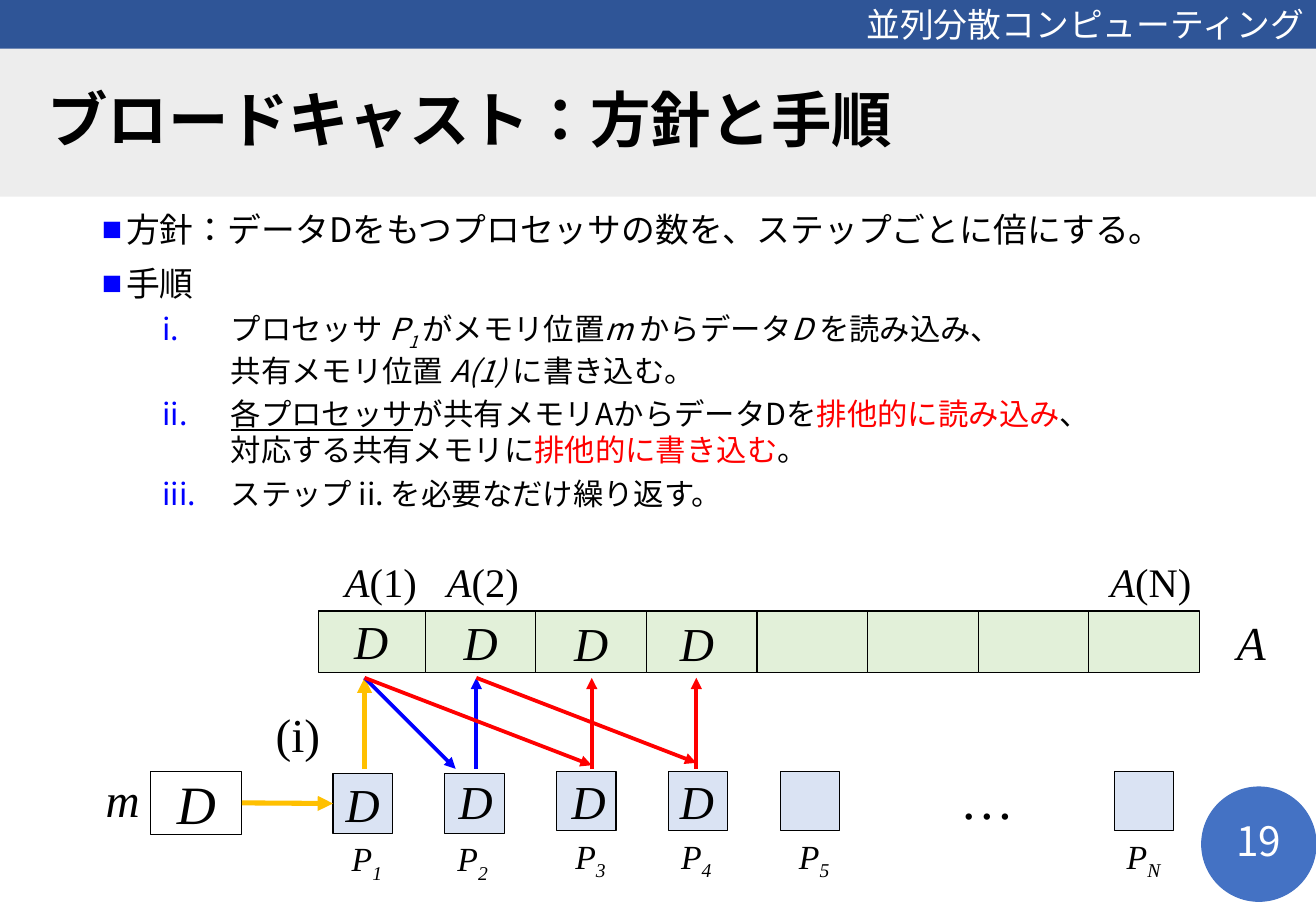
from lxml import etree
from pptx import Presentation
from pptx.dml.color import RGBColor
from pptx.enum.lang import MSO_LANGUAGE_ID
from pptx.enum.shapes import MSO_CONNECTOR, MSO_SHAPE
from pptx.enum.text import MSO_ANCHOR, PP_ALIGN
from pptx.oxml.ns import qn
from pptx.util import Inches, Pt

RECT, OVAL = MSO_SHAPE.RECTANGLE, MSO_SHAPE.OVAL
LINE = MSO_CONNECTOR.STRAIGHT
LEFT, MID, RIGHT = PP_ALIGN.LEFT, PP_ALIGN.CENTER, PP_ALIGN.RIGHT
TOP, CENTER = MSO_ANCHOR.TOP, MSO_ANCHOR.MIDDLE
LANG = MSO_LANGUAGE_ID.JAPANESE
SANS, SERIF, LATO = "Noto Sans CJK JP", "Times New Roman", "Lato"
BLACK, WHITE, RED, BLUE, GOLD = "000000", "FFFFFF", "FF0000", "0000FF", "FFC000"

# Runs are (text, style): i italic, s subscript, u underline, r red
POLICY = [("方針：データDをもつプロセッサの数を、ステップごとに倍にする。", "")]
STEPS = [
    [("プロセッサ ", ""), ("P", "i"), ("1 ", "is"), ("がメモリ位置", ""),
     ("m ", "i"), ("からデータ", ""), ("D ", "i"),
     ("を読み込み、\n共有メモリ位置 ", ""), ("A(1) ", "i"), ("に書き込む。", "")],
    [("各プロセッサ", "u"), ("が共有メモリAからデータDを", ""),
     ("排他的に読み込み", "r"), ("、\n対応する共有メモリに", ""),
     ("排他的に書き込む", "r"), ("。", "")],
    [("ステップ ii. を必要なだけ繰り返す。", "")],
]
# Processor: index, box left, box top, label centre
PROCS = [("1", 2.74, 6.37, 3.02), ("2", 3.66, 6.37, 3.89),
         ("3", 4.58, 6.35, 4.86), ("4", 5.5, 6.35, 5.73),
         ("5", 6.42, 6.35, 6.7), ("N", 9.17, 6.35, 9.41)]
# Left and top of each D in the memory cells and in the processors
DATA = [(2.81, 4.99), (3.71, 5), (4.62, 5.01), (5.49, 5.01),
        (2.74, 6.33), (3.67, 6.31), (4.6, 6.31), (5.49, 6.31)]
# Arrows from processors to memory and back
LOW, HIGH = 6.33, 5.58
ARROWS = [(3, LOW, 3, HIGH, GOLD, 3),
          (3, HIGH, 3.75, LOW, BLUE, 2.25),
          (3.92, LOW, 3.92, HIGH, BLUE, 2.25),
          (3, HIGH, 4.87, 6.3, RED, 2.25),
          (3.92, HIGH, 5.73, 6.28, RED, 2.25),
          (4.87, LOW, 4.87, HIGH, RED, 2.25),
          (5.73, LOW, 5.73, HIGH, RED, 2.25)]


def rgb(code):
    return RGBColor.from_string(code)


def style_font(para, size, face, color):
    font = para.font
    font.size, font.name = Pt(size), face
    font.color.rgb = rgb(color)
    east = etree.SubElement(para._p.pPr.find(qn("a:defRPr")), qn("a:ea"))
    east.set("typeface", SANS)


def add_run(para, text, style):
    for i, part in enumerate(text.split("\n")):
        if i:
            para.add_line_break()
        run = para.add_run()
        run.text = part
        run.font.language_id = LANG
        if "i" in style:
            run.font.italic = True
        if "u" in style:
            run.font.underline = True
        if "r" in style:
            run.font.color.rgb = rgb(RED)
        if "s" in style:
            run._r.get_or_add_rPr().set("baseline", "-25000")


def write(shape, runs, size, face=SERIF, color=BLACK, align=MID,
          anchor=TOP, wrap=False):
    frame = shape.text_frame
    frame.word_wrap, frame.vertical_anchor = wrap, anchor
    para = frame.paragraphs[0]
    para.alignment = align
    style_font(para, size, face, color)
    for text, style in runs:
        add_run(para, text, style)
    return para


def add_box(slide, x, y, w, h, fill=None, line=None, kind=RECT):
    box = slide.shapes.add_shape(kind, Inches(x), Inches(y), Inches(w), Inches(h))
    box.shadow.inherit = False
    if fill:
        box.fill.solid()
        box.fill.fore_color.rgb = rgb(fill)
    else:
        box.fill.background()
    if line:
        box.line.color.rgb = rgb(line)
        box.line.width = Pt(0.75)
    else:
        box.line.fill.background()
    return box


def add_label(slide, x, y, w, h, runs, size, **look):
    box = slide.shapes.add_textbox(Inches(x), Inches(y), Inches(w), Inches(h))
    write(box, runs, size, **look)


def add_arrow(slide, x1, y1, x2, y2, color, width):
    arrow = slide.shapes.add_connector(
        LINE, Inches(x1), Inches(y1), Inches(x2), Inches(y2))
    arrow.line.color.rgb = rgb(color)
    arrow.line.width = Pt(width)
    etree.SubElement(arrow.line._get_or_add_ln(), qn("a:tailEnd")).set("type", "triangle")
    etree.SubElement(arrow._element.spPr, qn("a:effectLst"))
    return arrow


def add_item(frame, runs, first=False, step=False):
    para = frame.paragraphs[0] if first else frame.add_paragraph()
    para.level = 1 if step else 0
    para.space_before = Pt(0 if first else 4.1 if step else 8.1)
    props = para._p.get_or_add_pPr()
    left, hang = (1.06, 0.56) if step else (0.2, 0.2)
    props.set("marL", str(Inches(left)))
    props.set("indent", str(-Inches(hang)))
    tint = etree.SubElement(props, qn("a:buClr"))
    etree.SubElement(tint, qn("a:srgbClr")).set("val", BLUE)
    face = etree.SubElement(props, qn("a:buFont"))
    face.set("typeface", SANS if step else SERIF)
    if step:
        etree.SubElement(props, qn("a:buAutoNum")).set("type", "romanLcPeriod")
    else:
        etree.SubElement(props, qn("a:buChar")).set("char", "■")
    style_font(para, 18 if step else 20, SANS, BLACK)
    for text, style in runs:
        add_run(para, text, style)


def add_frame(slide):
    head = add_box(slide, 0, -0.02, 10.83, 0.44, "2F5597")
    write(head, [("並列分散コンピューティング", "")], 20, face=LATO,
          color=WHITE, align=RIGHT, anchor=CENTER, wrap=True)
    title = add_box(slide, 0, 0.4, 10.83, 1.22, "EDEDED")
    para = write(title, [("ブロードキャスト：方針と手順", "")], 35.8, face=SANS,
                 align=LEFT, anchor=CENTER, wrap=True)
    para.font.bold = True
    para.line_spacing = 0.9
    title.text_frame.margin_left = Inches(0.39)
    add_box(slide, 9.89, 6.48, 0.94, 0.94, "4472C4", "4472C4", OVAL)
    add_label(slide, 9.89, 6.72, 0.94, 0.4, [("19", "")], 24, face=SANS,
              color=WHITE, anchor=CENTER, wrap=True)


def add_body(slide):
    box = slide.shapes.add_textbox(Inches(0.74), Inches(1.67), Inches(9.34), Inches(2.7))
    frame = box.text_frame
    frame.word_wrap = True
    add_item(frame, POLICY, first=True)
    add_item(frame, [("手順", "")])
    for step in STEPS:
        add_item(frame, step, step=True)


def add_memory(slide):
    for i in range(8):
        x = 2.62 if i == 0 else 2.59 + 0.91 * i
        add_box(slide, x, 5.03, 0.91, 0.51, "E2F0D9", BLACK)
    for x, name in ((2.74, "(1)"), (3.58, "(2)"), (9.04, "(N)")):
        add_label(slide, x, 4.54, 0.88, 0.5, [("A", "i"), (name, "")], 24, align=LEFT)
    add_label(slide, 10.08, 5, 0.44, 0.57, [("A", "i")], 28, align=LEFT)


def add_procs(slide):
    cell = add_box(slide, 1.24, 6.35, 0.75, 0.52, line=BLACK)
    write(cell, [("D", "i")], 32, anchor=CENTER)
    add_label(slide, 0.77, 6.29, 0.48, 0.57, [("m", "i")], 28, align=LEFT)
    boxes = []
    for name, x, y, mid in PROCS:
        boxes.append(add_box(slide, x, y, 0.49, 0.49, "DAE3F3", BLACK))
        add_label(slide, mid - 0.36, y + 0.48, 0.72, 0.44,
                  [("P", "i"), (name, "is")], 20)
    add_label(slide, 7.83, 6.25, 0.6, 0.64, [("…", "i")], 32)
    # Step (i): memory m to the first processor
    read = add_arrow(slide, 1.99, 6.61, 2.74, 6.61, GOLD, 3)
    read.begin_connect(cell, 3)
    read.end_connect(boxes[0], 1)
    add_label(slide, 2.17, 5.76, 0.57, 0.57, [("(i)", "")], 28, align=LEFT)


def main():
    prs = Presentation()
    prs.slide_width, prs.slide_height = Inches(10.83), Inches(7.5)
    slide = prs.slides.add_slide(prs.slide_layouts[6])
    add_frame(slide)
    add_body(slide)
    add_memory(slide)
    add_procs(slide)
    # Data in each place and its transfers
    for arrow in ARROWS:
        add_arrow(slide, *arrow)
    for x, y in DATA:
        add_label(slide, x, y, 0.49, 0.57, [("D", "i")], 28)
    prs.save("out.pptx")


if __name__ == "__main__":
    main()
